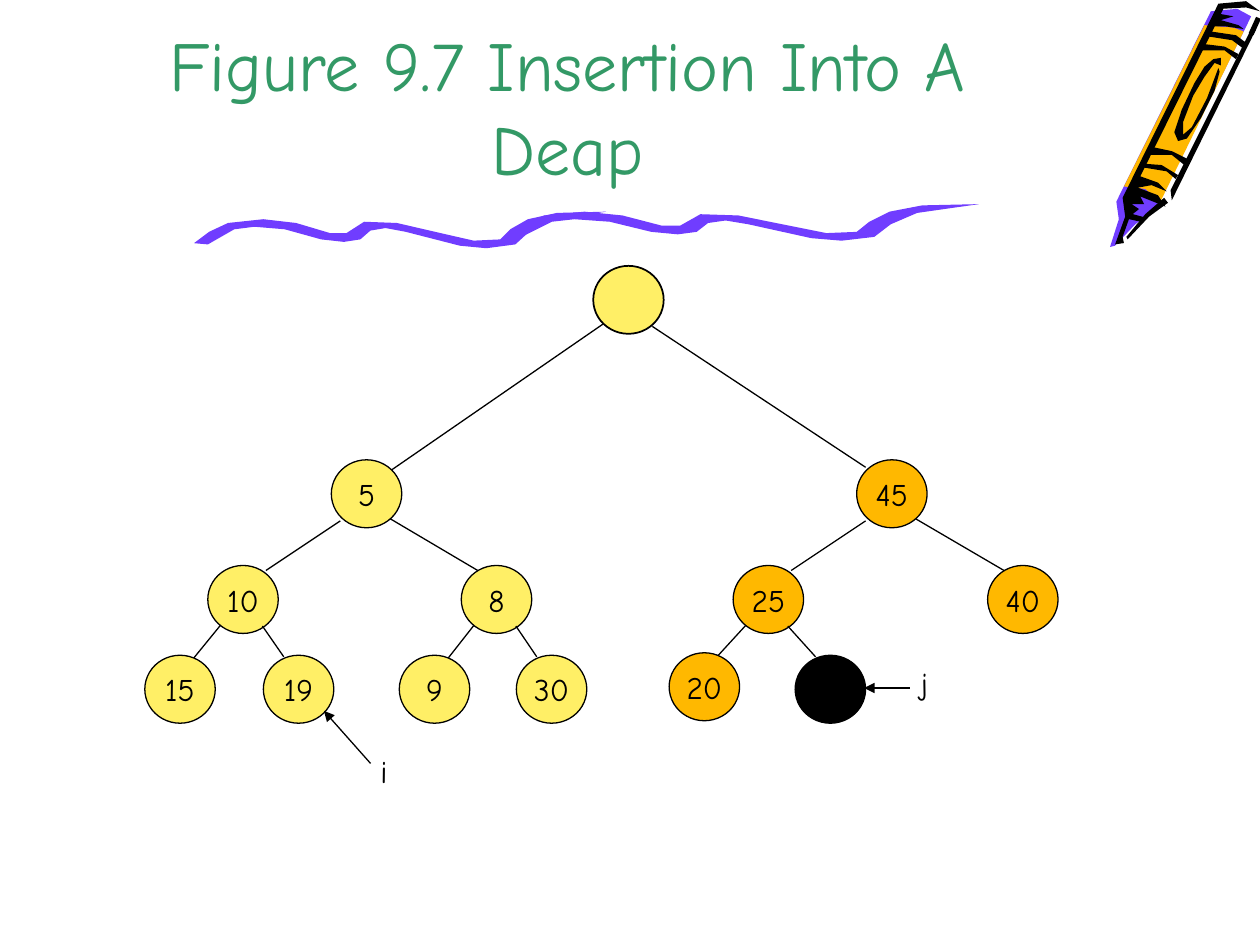
"""Build the slide that shows an insertion into a deap."""
from pptx import Presentation
from pptx.dml.color import RGBColor
from pptx.enum.shapes import MSO_CONNECTOR, MSO_SHAPE
from pptx.enum.text import MSO_ANCHOR, PP_ALIGN
from pptx.oxml.ns import qn
from pptx.util import Cm, Pt

OVAL = MSO_SHAPE.OVAL
STRAIGHT = MSO_CONNECTOR.STRAIGHT
CENTER, LEFT = PP_ALIGN.CENTER, PP_ALIGN.LEFT
TOP, MIDDLE, BOTTOM = MSO_ANCHOR.TOP, MSO_ANCHOR.MIDDLE, MSO_ANCHOR.BOTTOM

COLORS = {
    "black": "000000",
    "title": "339966",
    "min": "FFEF66",
    "max": "FFB800",
    "purple": "703DFF",
}
TITLE_FONT = {"name": "Comic Neue", "size": Pt(40)}
LABEL_FONT = {"name": "Comic Neue", "size": Pt(18)}
DRAWING_SCALE = Cm(2.54) / 100

NODE_WIDTH, NODE_HEIGHT = 1.42, 1.37
NODES = [
    ("", 11.96, 5.36, "min"),
    ("5", 6.68, 9.27, "min"),
    ("45", 17.27, 9.27, "max"),
    ("10", 4.19, 11.4, "min"),
    ("8", 9.3, 11.4, "min"),
    ("25", 14.78, 11.4, "max"),
    ("40", 19.91, 11.4, "max"),
    ("15", 2.92, 13.21, "min"),
    ("19", 5.31, 13.21, "min"),
    ("9", 8.05, 13.21, "min"),
    ("30", 10.41, 13.21, "min"),
    ("20", 13.49, 13.16, "max"),
    ("", 16.03, 13.21, "black"),
]
BRANCH_OFFSETS = {
    (1, "left"): (0.2, 1.17, 1.22, 0.2),
    (1, "right"): (1.19, 1.22, 0.18, 0.15),
    (2, "left"): (0.18, 1.23, 1.17, 0.1),
    (2, "right"): (1.19, 1.19, 0.33, 0.1),
    (3, "left"): (0.25, 1.21, 0.99, 0.05),
    (3, "right"): (1.1, 1.22, 0.41, 0.03),
}
POINTERS = [
    ("j", (18.31, 13.26, 0.76, 1.02), (18.34, 13.87, 17.42, 13.87)),
    ("i", (7.42, 15.04, 0.89, 1.02), (7.47, 15.39, 6.53, 14.33)),
]
CRAYON = [
    ("purple", [(993, 13), (917, 166), (901, 178), (885, 195), (881, 196), (888, 174),
                (886, 160), (961, 9), (982, 7)]),
    ("max", [(921, 160), (909, 150), (892, 148), (956, 20), (979, 22), (987, 25)]),
    ("black", [(927, 161), (912, 172), (895, 190), (894, 188), (909, 170), (924, 157)]),
    ("black", [(987, 23), (973, 21), (961, 21), (968, 11), (979, 13), (969, 16), (983, 20)]),
    ("black", [(968, 57), (964, 72), (953, 94), (942, 110), (935, 112), (932, 105),
               (938, 87), (948, 66), (956, 53), (963, 47), (969, 46), (969, 52),
               (964, 50), (956, 61), (947, 76), (939, 97), (939, 107), (946, 101),
               (958, 78), (967, 54)]),
    ("black", [(997, 23), (930, 159), (929, 151), (993, 23)]),
    ("black", [(925, 164), (919, 155), (903, 149), (914, 147), (926, 152), (919, 145),
               (905, 140), (971, 7), (989, 6), (1000, 9), (989, 1), (967, 3),
               (891, 157), (893, 172), (885, 194), (892, 193), (891, 188), (896, 174),
               (905, 176), (910, 173), (899, 170), (904, 166), (898, 162), (908, 162),
               (905, 156)]),
    ("black", [(933, 142), (926, 136), (908, 133), (909, 130), (922, 131), (935, 139)]),
    ("black", [(940, 131), (930, 123), (913, 123), (916, 117), (930, 120), (942, 126)]),
    ("black", [(981, 47), (972, 40), (953, 40), (956, 35), (972, 37), (983, 43)]),
    ("black", [(986, 38), (978, 32), (959, 29), (961, 25), (981, 28), (989, 34)]),
]
CRAYON_EDGE = (25.37, 0.36, 25.22, 0.69)
WAVE = [
    (165, 194), (186, 182), (202, 180), (226, 182), (255, 190), (273, 192), (286, 190),
    (294, 183), (306, 181), (322, 184), (365, 195), (386, 197), (409, 194), (420, 184),
    (438, 175), (481, 168), (442, 169), (419, 174), (405, 182), (397, 190), (376, 191),
    (354, 186), (315, 177), (289, 176), (275, 185), (262, 185), (235, 177), (209, 174),
    (181, 177), (166, 184), (154, 193),
]


def color(name):
    """Return the named colour."""
    return RGBColor.from_string(COLORS[name])


def write(shape, words, font, color_name, align, anchor, wrap):
    """Put one formatted paragraph into a shape."""
    frame = shape.text_frame
    layout = {"word_wrap": wrap, "vertical_anchor": anchor}
    for attribute, value in layout.items():
        setattr(frame, attribute, value)
    paragraph = frame.paragraphs[0]
    paragraph.alignment = align
    run = paragraph.add_run()
    run.text = words
    for attribute, value in font.items():
        setattr(run.font, attribute, value)
    run.font.color.rgb = color(color_name)


def add_label(slide, words, box, font, color_name, align, anchor):
    """Add a wrapped text box."""
    label = slide.shapes.add_textbox(*map(Cm, box))
    write(label, words, font, color_name, align, anchor, True)


def add_stroke(slide, ends, width=0.75, arrow=False):
    """Add a straight black line, with an arrowhead at its end if asked."""
    stroke = slide.shapes.add_connector(STRAIGHT, *map(Cm, ends))
    stroke.line.color.rgb = color("black")
    stroke.line.width = Pt(width)
    properties = stroke._element.spPr
    if arrow:
        head = properties.find(qn("a:ln")).makeelement(qn("a:tailEnd"), {"type": "triangle"})
        properties.find(qn("a:ln")).append(head)
    properties.append(properties.makeelement(qn("a:effectLst"), {}))


def add_outline(slide, points, color_name):
    """Add a filled closed outline given in drawing units."""
    builder = slide.shapes.build_freeform(*points[0], scale=DRAWING_SCALE)
    builder.add_line_segments(points[1:], close=True)
    outline = builder.convert_to_shape()
    outline.shadow.inherit = False
    outline.fill.solid()
    outline.fill.fore_color.rgb = color(color_name)
    outline.line.fill.background()


def add_node(slide, key, left, top, color_name, line_width):
    """Add one tree node with its key."""
    node = slide.shapes.add_shape(OVAL, *map(Cm, (left, top, NODE_WIDTH, NODE_HEIGHT)))
    node.shadow.inherit = False
    node.fill.solid()
    node.fill.fore_color.rgb = color(color_name)
    node.line.color.rgb = color("black")
    node.line.width = Pt(line_width)
    if key:
        write(node, key, LABEL_FONT, "black", CENTER, MIDDLE, False)


def add_branch(slide, index):
    """Join a node, numbered level by level, to its parent."""
    level = (index + 1).bit_length() - 1
    side = "left" if index % 2 else "right"
    origin = NODES[(index - 1) // 2][1:3] + NODES[index][1:3]
    offsets = BRANCH_OFFSETS[level, side]
    add_stroke(slide, [start + offset for start, offset in zip(origin, offsets)])


def add_decoration(slide):
    """Draw the crayon and the two-part wave under the title."""
    for color_name, points in CRAYON:
        add_outline(slide, points, color_name)
    add_stroke(slide, CRAYON_EDGE, 3)
    add_outline(slide, WAVE, "purple")
    stretched = [(round(401 + (x - 154) * 1.15), y - 6) for x, y in WAVE]
    add_outline(slide, stretched, "purple")


def main():
    """Assemble and save the slide."""
    deck = Presentation()
    deck.slide_width, deck.slide_height = Cm(25.4), Cm(19.05)
    slide = deck.slides.add_slide(deck.slide_layouts[6])
    add_decoration(slide)
    add_label(slide, "Figure 9.7 Insertion Into A Deap", (1.9, 0, 19.08, 3.94),
              TITLE_FONT, "title", CENTER, BOTTOM)
    for index, node in enumerate(NODES):
        add_node(slide, *node, 0.75 if index else 1)
        if index:
            add_branch(slide, index)
    for name, box, arrow_ends in POINTERS:
        add_stroke(slide, arrow_ends, arrow=True)
        add_label(slide, name, box, LABEL_FONT, "black", LEFT, TOP)
    deck.save("out.pptx")


if __name__ == "__main__":
    main()
